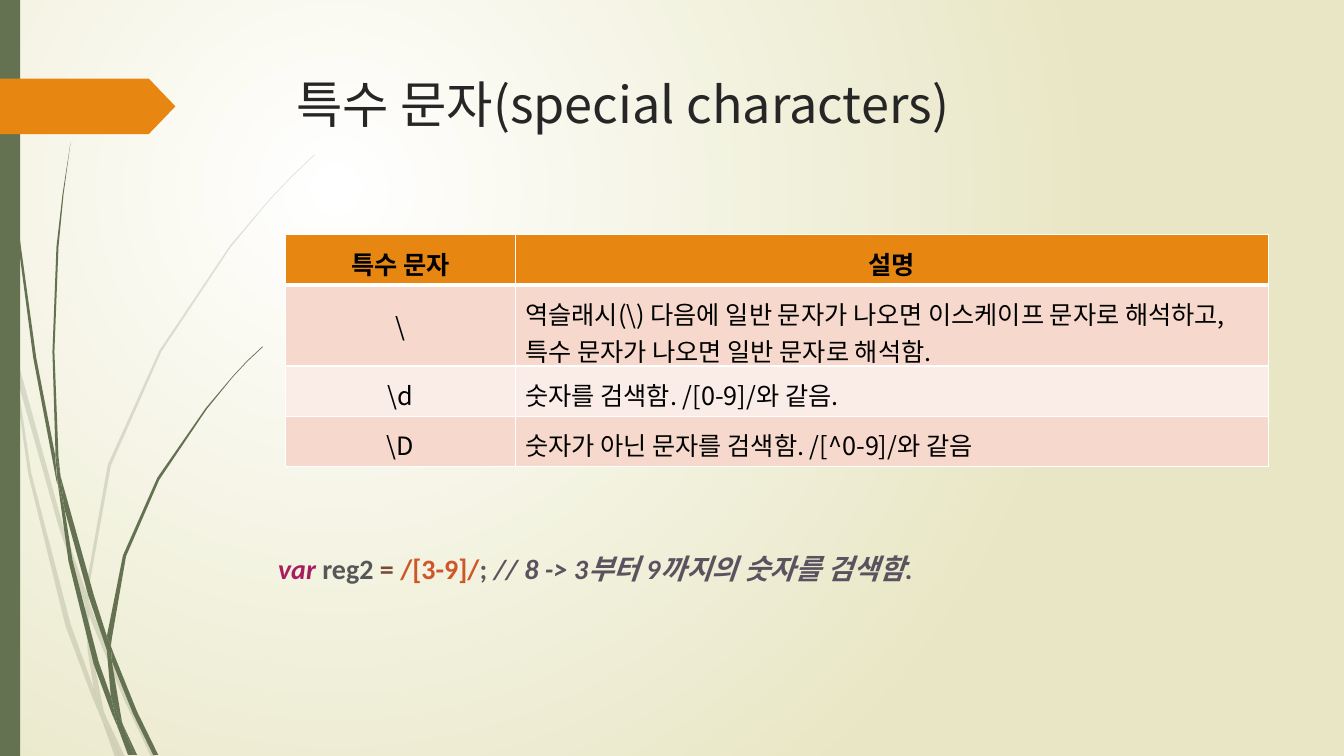
from lxml.etree import SubElement
from pptx import Presentation
from pptx.dml.color import RGBColor
from pptx.enum.shapes import MSO_SHAPE as Shape
from pptx.enum.text import MSO_ANCHOR as Anchor, PP_ALIGN as Align
from pptx.oxml import parse_xml
from pptx.oxml.ns import nsdecls, qn
from pptx.util import Inches, Pt

COLORS = {
    "white": "FFFFFF", "cream": "E8E6C4", "green": "647252", "orange": "E78712",
    "title": "262626", "black": "000000", "rose": "F6D9CC", "blush": "FAEDE7",
    "keyword": "A71D5D", "plain": "575757", "operator": "794938",
    "regex": "CF5628", "comment": "5A525F",
}
KOREAN, LATIN = "Noto Sans CJK KR", "Calibri"
GRID = Inches(0.01)
SLIDE_COLUMNS, SLIDE_ROWS = 1333, 750

TITLE = [("특수 문자(special characters)", {"size": 36, "color": "title"})]
TABLE_ROWS = [
    ("특수 문자", "설명"),
    ("\\", "역슬래시(\\) 다음에 일반 문자가 나오면 이스케이프 문자로 해석하고, 특수 문자가 나오면 일반 문자로 해석함."),
    ("\\d", "숫자를 검색함. /[0-9]/와 같음."),
    ("\\D", "숫자가 아닌 문자를 검색함. /[^0-9]/와 같음"),
]
COLUMN_WIDTHS = (228, 747)
ROW_HEIGHT = 41
CODE = [
    ("var ", "keyword", True), ("reg2 ", "plain", False), ("= ", "operator", False),
    ("/[3-9]/", "regex", False), ("; ", "plain", False),
    ("// 8 -> 3부터 9까지의 숫자를 검색함.", "comment", True),
]
BOXES = {
    "bar": (0, 0, 20, SLIDE_ROWS),
    "arrow": (0, 78, 174, 55),
    "title": (284, 68, 975, 140),
    "table": (283, 233, sum(COLUMN_WIDTHS), 233),
    "code": (266, 542, 1010, 44),
}
PALE_BLADES = [
    [(11, 350), (9, 322), (0, 282), (0, 299), (10, 344)],
    [(58, 522), (84, 599), (85, 586), (62, 520), (14, 345), (17, 376)],
    [(92, 607), (88, 596), (88, 610), (123, 694), (150, 751), (155, 751), (127, 692)],
    [(119, 751), (124, 751), (105, 711)],
    [(93, 683), (70, 619), (31, 469), (17, 376), (11, 350), (28, 470), (65, 621),
     (92, 693), (101, 714), (99, 707)],
    [(84, 599), (87, 646), (93, 683), (96, 692), (105, 711), (103, 706), (91, 646),
     (88, 610), (88, 608)],
    [(88, 584), (110, 462), (160, 349), (229, 245), (268, 198), (290, 175), (312, 154),
     (312, 153), (289, 175), (268, 197), (228, 244), (158, 348), (107, 461), (85, 584),
     (85, 586), (88, 596)],
    [(101, 714), (114, 751), (119, 751)],
    [(88, 608), (88, 610), (88, 596), (85, 586), (84, 599)],
    [(96, 692), (93, 683), (99, 707), (101, 714), (119, 751), (105, 711)],
]
DARK_BLADES = [
    [(7, 110), (17, 233), (33, 355), (56, 477), (57, 481), (55, 457), (55, 453),
     (36, 355), (19, 232), (8, 109), (5, 48), (4, 0), (3, 0), (4, 48)],
    [(88, 592), (106, 645), (106, 633), (106, 631), (93, 590), (60, 472), (64, 505)],
    [(113, 649), (110, 641), (111, 656), (132, 708), (152, 749), (157, 749), (136, 706)],
    [(110, 691), (98, 657), (72, 556), (64, 505), (57, 477), (68, 557), (93, 659),
     (111, 708), (117, 722), (116, 717)],
    [(60, 472), (58, 453), (54, 349), (58, 245), (63, 193), (70, 141), (62, 193),
     (56, 245), (52, 349), (55, 449)],
    [(133, 749), (136, 749), (122, 719)],
    [(57, 477), (64, 505), (60, 472), (55, 449), (55, 453)],
    [(111, 633), (125, 552), (158, 476), (205, 406), (231, 374), (245, 359), (261, 344),
     (260, 344), (245, 358), (231, 373), (204, 405), (156, 474), (122, 551), (106, 631),
     (110, 641)],
    [(117, 722), (127, 749), (131, 749)],
    [(106, 645), (110, 691), (116, 706), (122, 719), (121, 716), (111, 656), (109, 651)],
    [(106, 645), (109, 651), (111, 656), (110, 641), (106, 631), (106, 633)],
    [(116, 706), (110, 691), (116, 717), (117, 722), (130, 749), (133, 749), (122, 719)],
]


def rgb(name):
    return RGBColor.from_string(COLORS[name])


def place(box):
    return [round(length * GRID) for length in box]


def paint(shape, color):
    shape.shadow.inherit = False
    shape.fill.solid()
    shape.fill.fore_color.rgb = rgb(color)
    shape.line.fill.background()


def add_blade(shapes, points, alpha):
    builder = shapes.build_freeform(*points[0], scale=float(GRID))
    builder.add_line_segments(points[1:], close=True)
    blade = builder.convert_to_shape()
    paint(blade, "green")
    if alpha < 100:
        color = blade._element.spPr.find(".//" + qn("a:srgbClr"))
        SubElement(color, qn("a:alpha"), val=str(alpha * 1000))


def write(frame, runs, align=Align.LEFT):
    paragraph = frame.paragraphs[0]
    paragraph.alignment = align
    for text, style in runs:
        run = paragraph.add_run()
        run.text = text
        font = run.font
        values = {"name": KOREAN, "bold": False, "italic": False, **style}
        values["size"] = Pt(values["size"])
        font.color.rgb = rgb(values.pop("color"))
        for key, value in values.items():
            setattr(font, key, value)
        SubElement(run._r.get_or_add_rPr(), qn("a:ea"), typeface=KOREAN)


def add_text(shapes, box, runs):
    frame = shapes.add_textbox(*place(box)).text_frame
    frame.word_wrap = True
    write(frame, runs)


def add_borders(cell, widths):
    properties = cell._tc.get_or_add_tcPr()
    for side, width in widths.items():
        properties.append(parse_xml(
            f'<a:ln{side} {nsdecls("a")} w="{Pt(width)}"><a:solidFill>'
            f'<a:srgbClr val="{COLORS["white"]}"/></a:solidFill></a:ln{side}>'))


def add_table(shapes):
    box = place(BOXES["table"])
    table_frame = shapes.add_table(len(TABLE_ROWS), len(COLUMN_WIDTHS), *box)
    table = table_frame.table
    for column, width in zip(table.columns, COLUMN_WIDTHS):
        column.width = width * GRID
    for row in table.rows:
        row.height = ROW_HEIGHT * GRID
    table_frame.height = box[3]
    margins = {f"margin_{side}": 10 * GRID for side in ("left", "right", "top", "bottom")}
    for i, texts in enumerate(TABLE_ROWS):
        header = i == 0
        fill = "orange" if header else ("blush", "rose")[i % 2]
        for j, text in enumerate(texts):
            cell = table.cell(i, j)
            for key, value in {**margins, "vertical_anchor": Anchor.MIDDLE}.items():
                setattr(cell, key, value)
            add_borders(cell, {"L": 1, "R": 1, "T": 3 if i == 1 else 1, "B": 3 if header else 1})
            cell.fill.solid()
            cell.fill.fore_color.rgb = rgb(fill)
            style = {"size": 18, "color": "black", "bold": header}
            write(cell.text_frame, [(text, style)],
                  Align.CENTER if header or j == 0 else Align.LEFT)


def add_background(slide):
    stops = "".join(
        f'<a:gs pos="{position}"><a:srgbClr val="{COLORS[name]}"/></a:gs>'
        for position, name in ((0, "white"), (100000, "cream")))
    slide._element.cSld.insert(0, parse_xml(
        f'<p:bg {nsdecls("p", "a")}><p:bgPr><a:gradFill rotWithShape="1">'
        f'<a:gsLst>{stops}</a:gsLst><a:path path="circle">'
        '<a:fillToRect l="50000" t="50000" r="100000" b="100000"/></a:path>'
        '</a:gradFill><a:effectLst/></p:bgPr></p:bg>'))


def main():
    presentation = Presentation()
    presentation.slide_width, presentation.slide_height = place((SLIDE_COLUMNS, SLIDE_ROWS))
    slide = presentation.slides.add_slide(presentation.slide_layouts[6])
    shapes = slide.shapes
    add_background(slide)
    for blades, alpha in ((PALE_BLADES, 20), (DARK_BLADES, 100)):
        for points in blades:
            add_blade(shapes, points, alpha)
    paint(shapes.add_shape(Shape.RECTANGLE, *place(BOXES["bar"])), "green")
    arrow = shapes.add_shape(Shape.PENTAGON, *place(BOXES["arrow"]))
    arrow.adjustments[0] = 0.48
    paint(arrow, "orange")
    add_text(shapes, BOXES["title"], TITLE)
    add_table(shapes)
    add_text(shapes, BOXES["code"], [
        (text, {"name": LATIN, "size": 20, "color": color, "bold": True, "italic": italic})
        for text, color, italic in CODE])
    presentation.save("out.pptx")


if __name__ == "__main__":
    main()
